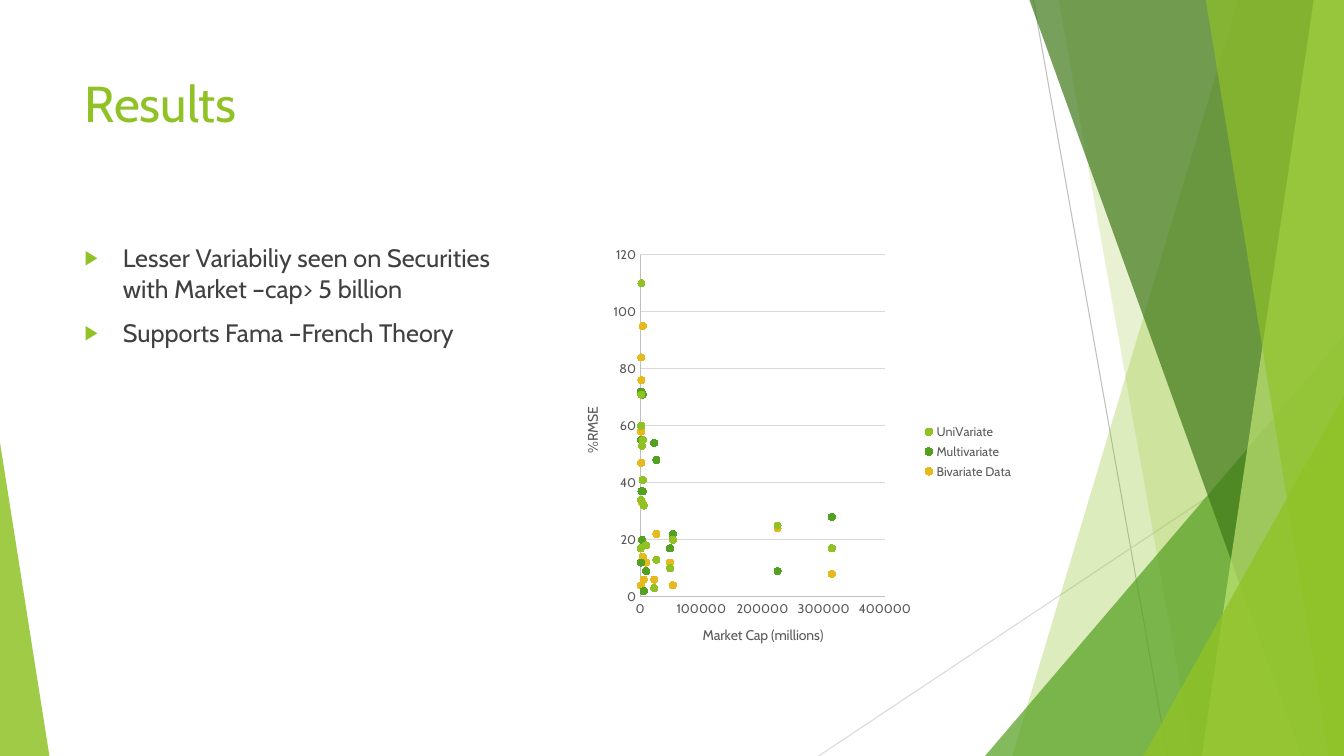
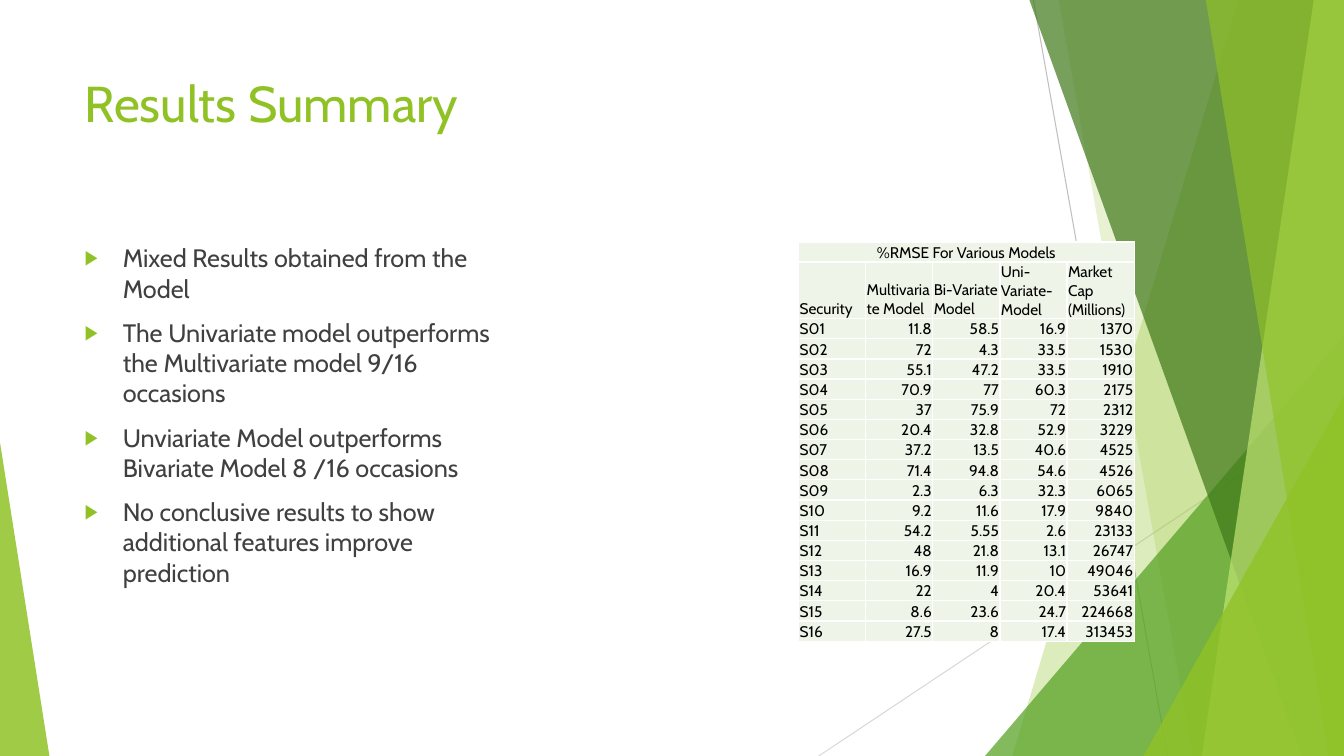
from lxml import etree
from pptx import Presentation
from pptx.chart.data import XyChartData
from pptx.dml.color import RGBColor
from pptx.enum.chart import XL_CHART_TYPE, XL_LEGEND_POSITION, XL_MARKER_STYLE, XL_TICK_MARK
from pptx.enum.shapes import MSO_CONNECTOR, MSO_SHAPE
from pptx.enum.text import MSO_ANCHOR, PP_ALIGN
from pptx.oxml.ns import qn
from pptx.util import Emu, Inches, Pt

LEFT, MID, RIGHT = PP_ALIGN.LEFT, PP_ALIGN.CENTER, PP_ALIGN.RIGHT
TOP, BOTTOM = MSO_ANCHOR.TOP, MSO_ANCHOR.BOTTOM
SCATTER, LEGEND = XL_CHART_TYPE.XY_SCATTER, XL_LEGEND_POSITION.RIGHT
CIRCLE, NO_TICK = XL_MARKER_STYLE.CIRCLE, XL_TICK_MARK.NONE
STRAIGHT, TRIANGLE = MSO_CONNECTOR.STRAIGHT, MSO_SHAPE.ISOSCELES_TRIANGLE

# Shared style
W, H = 13.33, 7.5
FONT = "Cabin"
LIME, GREEN, DARK, PALE, GOLD = "90C226", "54A021", "3F7819", "C0E474", "E6B91E"
TEXT, GRAY, AXIS, GRID = "404040", "595959", "BFBFBF", "D9D9D9"
BLACK, WHITE, CELL = "000000", "FFFFFF", "EEF4E8"
TITLE_BOX = (0.74, 0.67, 9.4, 1.44)
BODY_BOX = (0.74, 2.36, 4.57, 4.24)
CHART_BOX = (5.57, 2.36, 4.58, 4.24)

# Backdrop: lines (x1, y1, x2, y2, colour), then bands and corners
LINES = [(10.25, 0, 11.58, H, AXIS), (W, 4.03, 8.12, H, GRID)]
# band: top x, foot x; corner: left, width, top, peak share
FACETS = [
    ("band", (12.28, 10.04), LIME, 30),
    ("band", (10.5, 11.83), LIME, 20),
    ("corner", (9.77, 3.56, 3.33, 1), GREEN, 72),
    ("band", (10.21, 12.91), DARK, 70),
    ("band", (13.03, 11.92), PALE, 70),
    ("band", (11.96, 13.18), LIME, 65),
    ("corner", (11.34, 1.99, 3.93, 1), LIME, 80),
    ("corner", (0, 0.49, 4.39, 0), LIME, 85),
]

# Content
RESULTS = ("Results", [
    "Lesser Variabiliy seen on Securities with Market –cap> 5 billion",
    "Supports Fama –French Theory",
])
SUMMARY = ("Results Summary", [
    "Mixed Results obtained from the Model",
    "The Univariate model outperforms the Multivariate model 9/16 occasions",
    "Unviariate Model outperforms Bivariate Model 8 /16 occasions",
    "No conclusive results to show additional features improve prediction",
])
CAPTION = "%RMSE For Various Models"
HEADS = ["Security", "Multivariate Model", "Bi-Variate Model",
         "Uni-Variate- Model", "Market Cap (Millions)"]
# Securities carry generic codes
ROWS = [
    ("S01", 11.8, 58.5, 16.9, 1370),
    ("S02", 72, 4.3, 33.5, 1530),
    ("S03", 55.1, 47.2, 33.5, 1910),
    ("S04", 70.9, 77, 60.3, 2175),
    ("S05", 37, 75.9, 72, 2312),
    ("S06", 20.4, 32.8, 52.9, 3229),
    ("S07", 37.2, 13.5, 40.6, 4525),
    ("S08", 71.4, 94.8, 54.6, 4526),
    ("S09", 2.3, 6.3, 32.3, 6065),
    ("S10", 9.2, 11.6, 17.9, 9840),
    ("S11", 54.2, 5.55, 2.6, 23133),
    ("S12", 48, 21.8, 13.1, 26747),
    ("S13", 16.9, 11.9, 10, 49046),
    ("S14", 22, 4, 20.4, 53641),
    ("S15", 8.6, 23.6, 24.7, 224668),
    ("S16", 27.5, 8, 17.4, 313453),
]
CAPS = [row[-1] for row in ROWS]
SERIES = [
    ("UniVariate", LIME,
     [17, 34, 60, 71, 110, 53, 41, 55, 32, 18, 3, 13, 10, 20, 25, 17]),
    ("Multivariate", GREEN,
     [12, 72, 55, 71, 37, 20, 37, 71, 2, 9, 54, 48, 17, 22, 9, 28]),
    ("Bivariate Data", GOLD,
     [58, 4, 47, 84, 76, 33, 14, 95, 6, 12, 6, 22, 12, 4, 24, 8]),
]
# Shares of the chart: x, y, width, height
PLOT = (0.17, 0.04, 0.53, 0.8)
AXES = {
    "category_axis": ("Market Cap (millions)", 400000, 100000, (0.3, 0.9)),
    "value_axis": ("%RMSE", 120, 20, (0.04, 0.39)),
}


def rgb(code):
    return RGBColor.from_string(code)


def box(vals):
    return [Inches(v) for v in vals]


def style(font, size, color):
    for key, val in {"name": FONT, "size": Pt(size), "bold": False}.items():
        setattr(font, key, val)
    font.color.rgb = rgb(color)


def sub(node, tag, **attrs):
    return etree.SubElement(node, qn(tag), {k: str(v) for k, v in attrs.items()})


def stroke(line, color):
    line.color.rgb = rgb(color)
    line.width = Pt(0.75)


def paint(shape, color, alpha):
    shape.shadow.inherit = False
    shape.fill.solid()
    shape.fill.fore_color.rgb = rgb(color)
    shape.line.fill.background()
    tint = shape.element.spPr.find(".//" + qn("a:srgbClr"))
    sub(tint, "a:alpha", val=alpha * 1000)


def backdrop(slide, layout):
    """Draw the facets, then hand them to the layout so every slide has them."""
    shapes, made = slide.shapes, []
    for *ends, color in LINES:
        line = shapes.add_connector(STRAIGHT, *box(ends))
        stroke(line.line, color)
        sub(line.element.spPr, "a:effectLst")
        made.append(line)
    for kind, dims, color, alpha in FACETS:
        if kind == "band":
            top, foot = dims
            path = shapes.build_freeform(Inches(top), 0)
            path.add_line_segments([box(p) for p in ((W, 0), (W, H), (foot, H))])
            part = path.convert_to_shape()
        else:
            left, wide, top, peak = dims
            part = shapes.add_shape(TRIANGLE, *box((left, top, wide, H - top)))
            part.adjustments[0] = peak
        paint(part, color, alpha)
        made.append(part)
    for part in made:
        layout.shapes.element.append(part.element)


def start(prs, layout, title, points):
    """Add a slide with its title and bullet list."""
    slide = prs.slides.add_slide(layout)
    head = slide.shapes.title
    head.left, head.top, head.width, head.height = box(TITLE_BOX)
    head.text_frame.text = title
    head.text_frame.vertical_anchor = TOP
    para = head.text_frame.paragraphs[0]
    para.alignment = LEFT
    style(para.runs[0].font, 36, LIME)

    frame = slide.shapes.add_textbox(*box(BODY_BOX)).text_frame
    frame.word_wrap = True
    frame.text = "\n".join(points)
    for para in frame.paragraphs:
        para.space_before = Pt(10)
        style(para.runs[0].font, 18, TEXT)
        props = para._p.get_or_add_pPr()
        props.set("marL", str(Inches(0.38)))
        props.set("indent", str(-Inches(0.38)))
        sub(sub(props, "a:buClr"), "a:srgbClr", val=LIME)
        sub(props, "a:buSzPct", val=80000)
        sub(props, "a:buFont", typeface="Arial")
        sub(props, "a:buChar", char="▶")
    return slide


def place(node, spots, inner=False):
    """Fix a chart part at shares of the chart's size."""
    old = node.find(qn("c:layout"))
    if old is None:
        old = etree.Element(qn("c:layout"))
        text = node.find(qn("c:tx"))
        node.insert(0 if text is None else node.index(text) + 1, old)
    for kid in list(old):
        old.remove(kid)
    man = sub(old, "c:manualLayout")
    if inner:
        sub(man, "c:layoutTarget", val="inner")
    for key in ("xMode", "yMode"):
        sub(man, "c:" + key, val="edge")
    for key, val in zip("xywh", spots):
        sub(man, "c:" + key, val=val)


def scatter(slide):
    data = XyChartData()
    for name, _, vals in SERIES:
        ser = data.add_series(name)
        for cap, val in zip(CAPS, vals):
            ser.add_data_point(cap, val)
    chart = slide.shapes.add_chart(SCATTER, *box(CHART_BOX), data).chart
    chart.has_title = False
    style(chart.font, 10, BLACK)
    chart.has_legend = True
    chart.legend.position = LEGEND
    chart.legend.include_in_layout = False
    style(chart.legend.font, 9, GRAY)
    plot = chart.plots[0]
    plot.vary_by_categories = False
    for ser, (_, color, _) in zip(plot.series, SERIES):
        ser.smooth = False
        ser.format.line.fill.background()
        dot = ser.marker
        dot.style, dot.size = CIRCLE, 5
        dot.format.fill.solid()
        dot.format.fill.fore_color.rgb = rgb(color)
        dot.format.line.color.rgb = rgb(color)
    for key, (label, top, step, spot) in AXES.items():
        axis = getattr(chart, key)
        form = {"minimum_scale": 0, "maximum_scale": top, "major_unit": step,
                "major_tick_mark": NO_TICK, "minor_tick_mark": NO_TICK,
                "has_major_gridlines": key == "value_axis"}
        for name, val in form.items():
            setattr(axis, name, val)
        axis.tick_labels.number_format = "0"
        axis.tick_labels.number_format_is_linked = False
        style(axis.tick_labels.font, 9, GRAY)
        stroke(axis.format.line, AXIS)
        frame = axis.axis_title.text_frame
        frame.text = label
        style(frame.paragraphs[0].runs[0].font, 10, GRAY)
        place(axis.axis_title._element, spot)
    stroke(chart.value_axis.major_gridlines.format.line, GRID)
    place(chart._chartSpace.chart.plotArea, PLOT, inner=True)


def fill_cell(cell, text, align):
    form = {"vertical_anchor": BOTTOM, "margin_left": Inches(0.01),
            "margin_right": Inches(0.01), "margin_top": Inches(0.01),
            "margin_bottom": 0, "text": str(text)}
    for key, val in form.items():
        setattr(cell, key, val)
    para = cell.text_frame.paragraphs[0]
    para.alignment = align
    style(para.font, 11, BLACK)
    for run in para.runs:
        style(run.font, 11, BLACK)
    props = cell._tc.get_or_add_tcPr()
    for side in "LRTB":
        edge = sub(props, "a:ln" + side, w=Pt(1))
        sub(sub(edge, "a:solidFill"), "a:srgbClr", val=WHITE)
    cell.fill.solid()
    cell.fill.fore_color.rgb = rgb(CELL)


def grid(slide):
    lines = [[CAPTION] + [""] * (len(HEADS) - 1), HEADS, *ROWS]
    frame = slide.shapes.add_table(len(lines), len(HEADS), *box((7.92, 2.4, 3.33, 3.96)))
    table = frame.table
    table.first_row = table.horz_banding = False
    for col in table.columns:
        col.width = Emu(Inches(3.33) // len(HEADS))
    for r, line in enumerate(lines):
        table.rows[r].height = Inches(0.56 if r == 1 else 0.2)
        for c, text in enumerate(line):
            align = MID if r == 0 else RIGHT if r > 1 and c else LEFT
            fill_cell(table.cell(r, c), text, align)
    table.cell(0, 0).merge(table.cell(0, len(HEADS) - 1))


def main():
    prs = Presentation()
    prs.slide_width, prs.slide_height = box((W, H))
    layout = prs.slide_layouts[5]
    first = start(prs, layout, *RESULTS)
    backdrop(first, layout)
    scatter(first)
    grid(start(prs, layout, *SUMMARY))
    prs.save("out.pptx")


if __name__ == "__main__":
    main()
